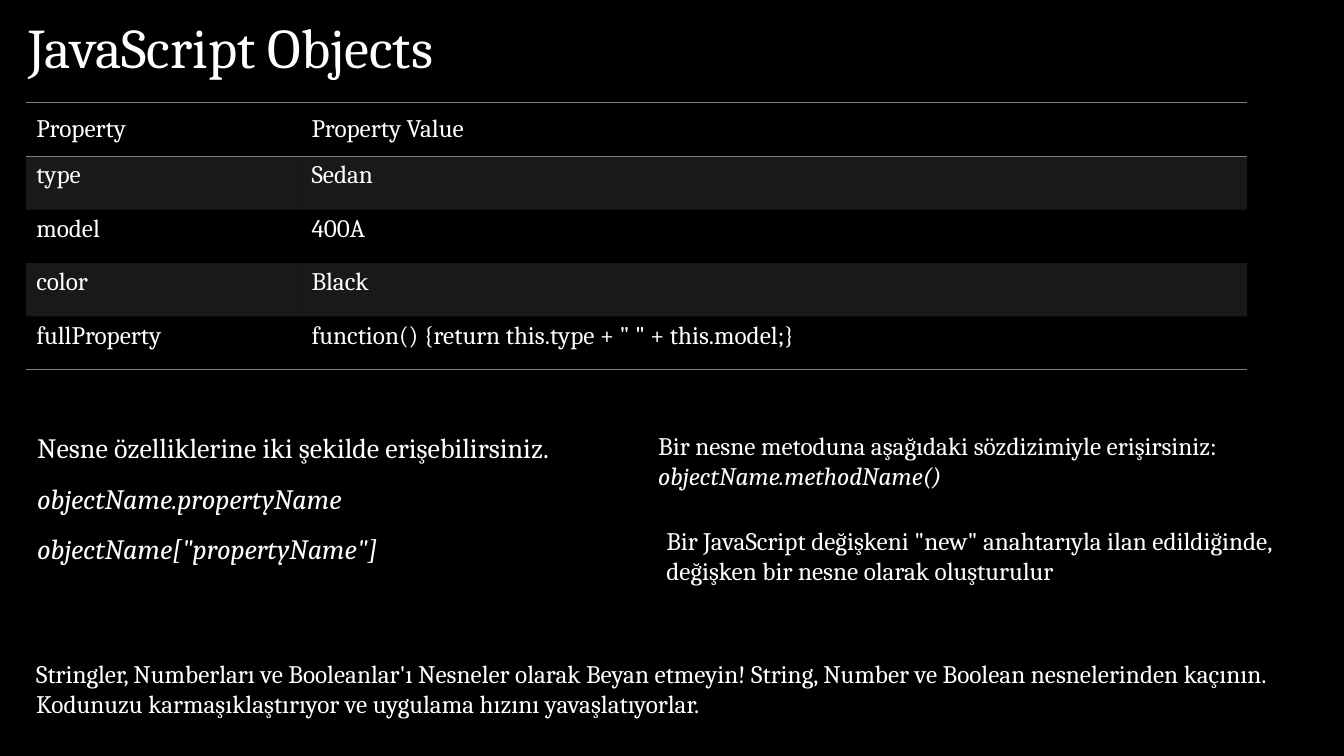
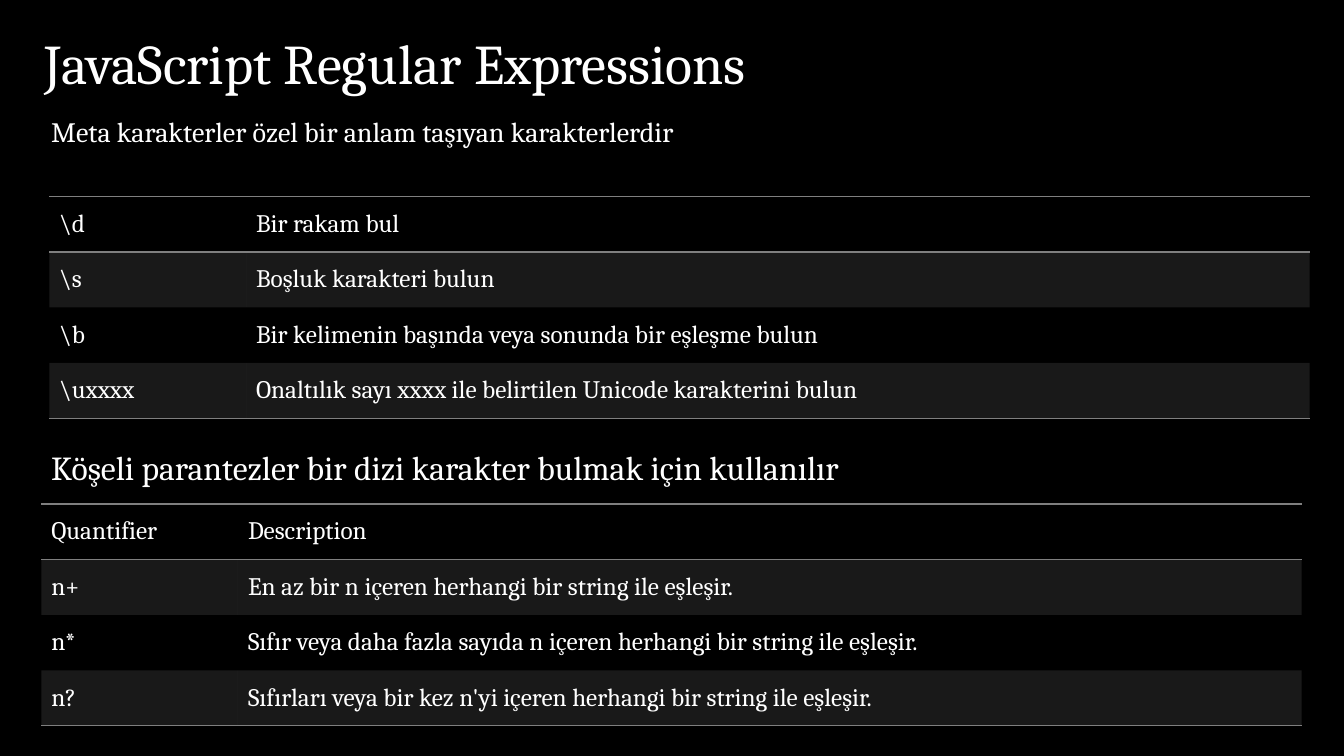
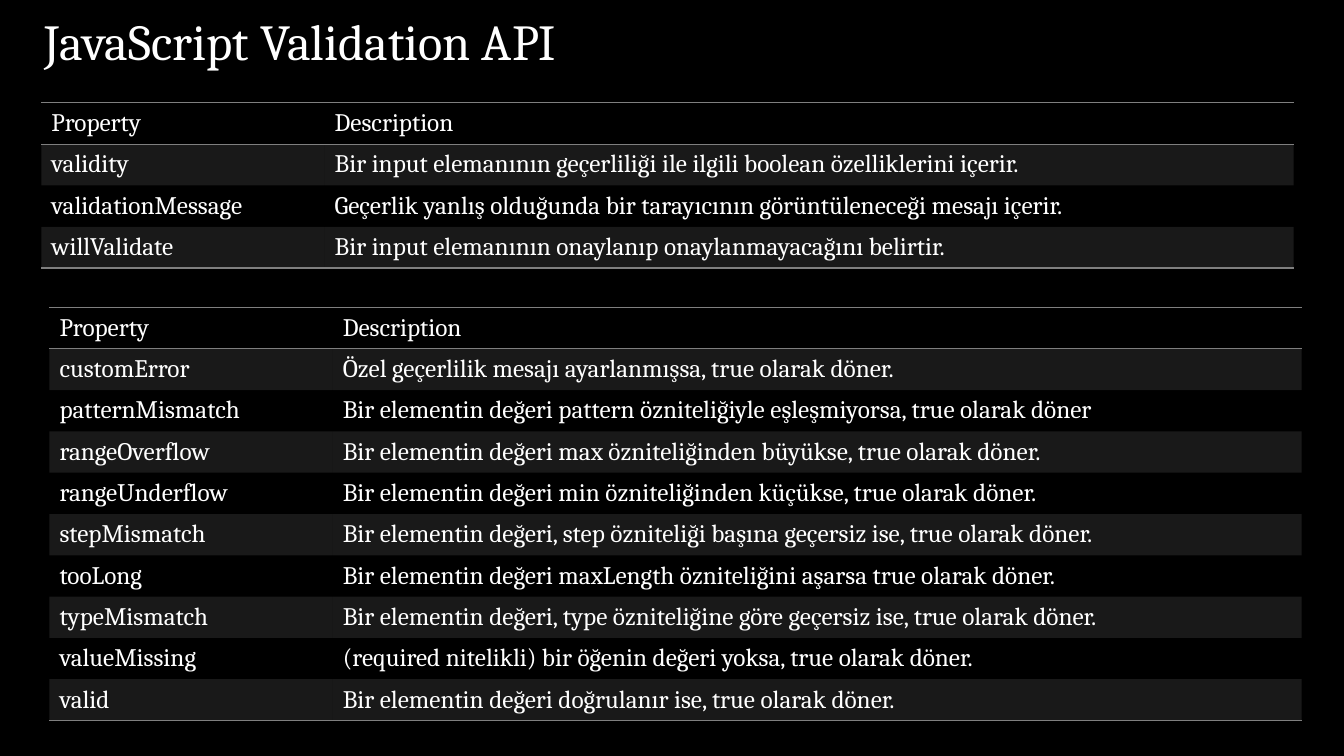
from dataclasses import dataclass

from lxml import etree
from pptx import Presentation
from pptx import util as u
from pptx.dml.color import RGBColor
from pptx.enum import text
from pptx.oxml.ns import qn

COLORS = {"back": "000000", "ink": "FFFFFF", "gray": "7F7F7F"}
FONT = "Cambria"
BAND_OPACITY = 20000
PLAIN_STYLE = "{2D5ABB26-0587-4C30-8999-92F81FD0307C}"


@dataclass
class Note:
    """A text box; each line is one paragraph."""
    left: float
    top: float
    width: float
    height: float
    lines: list[str]
    size: int = 18
    italic_from: int = 99
    spacing: float = 1.0
    anchor: text.MSO_ANCHOR = text.MSO_ANCHOR.TOP


@dataclass
class Grid:
    """A two-column table with equal rows, the first one a header."""
    left: float
    top: float
    columns: tuple[float, float]
    row_height: float
    rows: list[tuple[str, str]]
    body_anchor: text.MSO_ANCHOR = text.MSO_ANCHOR.MIDDLE


def rgb(name: str) -> RGBColor:
    return RGBColor.from_string(COLORS[name])


def add_run(p, words: str, size: int, italic: bool = False) -> None:
    r = p.add_run()
    r.text = words
    r.font.name = FONT
    r.font.size = u.Pt(size)
    r.font.italic = italic
    r.font.color.rgb = rgb("ink")


def title(left: float, top: float, width: float, height: float, words: str, size: int = 40) -> Note:
    return Note(left, top, width, height, [words], size, spacing=0.8, anchor=text.MSO_ANCHOR.BOTTOM)


def draw_note(s, note: Note) -> None:
    sp = s.shapes.add_textbox(*map(u.Inches, (note.left, note.top, note.width, note.height)))
    tf = sp.text_frame
    tf.word_wrap = True
    tf.vertical_anchor = note.anchor
    for i, line in enumerate(note.lines):
        p = tf.add_paragraph() if i else tf.paragraphs[0]
        p.line_spacing = note.spacing
        add_run(p, line, note.size, i >= note.italic_from)


def add_rule(cell, side: str) -> None:
    """Draw a gray border on the top (lnT) or bottom (lnB) of a cell."""
    ln = etree.SubElement(cell._tc.get_or_add_tcPr(), qn(f"a:{side}"), w=str(u.Pt(1)))
    fill = etree.SubElement(ln, qn("a:solidFill"))
    etree.SubElement(fill, qn("a:srgbClr"), val=COLORS["gray"])


def fill_band(cell) -> None:
    cell.fill.solid()
    cell.fill.fore_color.rgb = rgb("gray")
    color = cell._tc.tcPr.find(f".//{qn('a:solidFill')}[last()]/{qn('a:srgbClr')}")
    for color in cell._tc.tcPr.findall(f"{qn('a:solidFill')}/{qn('a:srgbClr')}"):
        etree.SubElement(color, qn("a:alpha"), val=str(BAND_OPACITY))


def draw_grid(s, grid: Grid) -> None:
    count = len(grid.rows)
    size = (grid.left, grid.top, sum(grid.columns), grid.row_height * count)
    table = s.shapes.add_table(count, 2, *map(u.Inches, size)).table
    table.horz_banding = table.first_row = False
    table._tbl.tblPr.find(qn("a:tableStyleId")).text = PLAIN_STYLE
    for column, width in zip(table.columns, grid.columns):
        column.width = u.Inches(width)
    for i, row in enumerate(grid.rows):
        table.rows[i].height = u.Inches(grid.row_height)
        for j, words in enumerate(row):
            cell = table.cell(i, j)
            cell.vertical_anchor = grid.body_anchor if i else text.MSO_ANCHOR.MIDDLE
            add_run(cell.text_frame.paragraphs[0], words, 18)
            if i == 0:
                add_rule(cell, "lnT")
            if i in (0, count - 1):
                add_rule(cell, "lnB")
            if i % 2:
                fill_band(cell)
            else:
                cell.fill.background()


REGEX_COLUMNS = (1.95, 10.55)
VALIDATION_COLUMNS = (2.81, 9.61)

SLIDES: list[list[Note | Grid]] = [
    [
        title(0.18, 0.16, 10.5, 0.68, "JavaScript Objects"),
        Grid(0.26, 1.02, (2.73, 9.38), 0.53, [
            ("Property", "Property Value"),
            ("type", "Sedan"),
            ("model", "400A"),
            ("color", "Black"),
            ("fullProperty", 'function() {return this.type + " " + this.model;}'),
        ], text.MSO_ANCHOR.TOP),
        Note(0.27, 4.06, 6.1, 1.55, [
            "Nesne özelliklerine iki şekilde erişebilirsiniz.",
            "objectName.propertyName",
            'objectName["propertyName"]',
        ], 20, italic_from=1, spacing=1.5),
        Note(6.43, 4.22, 6.58, 1.01, [
            "Bir nesne metoduna aşağıdaki sözdizimiyle erişirsiniz:",
            "objectName.methodName()",
        ], italic_from=1),
        Note(6.51, 5.16, 6.41, 0.71, [
            'Bir JavaScript değişkeni "new" anahtarıyla ilan edildiğinde, '
            "değişken bir nesne olarak oluşturulur",
        ]),
        Note(0.26, 6.48, 12.89, 0.71, [
            "Stringler, Numberları ve Booleanlar'ı Nesneler olarak Beyan etmeyin! "
            "String, Number ve Boolean nesnelerinden kaçının. "
            "Kodunuzu karmaşıklaştırıyor ve uygulama hızını yavaşlatıyorlar.",
        ]),
    ],
    [
        title(0.34, 0.23, 8.84, 0.76, "JavaScript Regular Expressions"),
        Grid(0.49, 1.95, REGEX_COLUMNS, 0.55, [
            ("\\d", "Bir rakam bul"),
            ("\\s", "Boşluk karakteri bulun"),
            ("\\b", "Bir kelimenin başında veya sonunda bir eşleşme bulun"),
            ("\\uxxxx", "Onaltılık sayı xxxx ile belirtilen Unicode karakterini bulun"),
        ]),
        Note(0.41, 1.09, 12.42, 0.44,
             ["Meta karakterler özel bir anlam taşıyan karakterlerdir"], 20),
        Note(0.41, 4.38, 9.22, 0.5,
             ["Köşeli parantezler bir dizi karakter bulmak için kullanılır"], 24),
        Grid(0.41, 5, REGEX_COLUMNS, 0.55, [
            ("Quantifier", "Description"),
            ("n+", "En az bir n içeren herhangi bir string ile eşleşir."),
            ("n*", "Sıfır veya daha fazla sayıda n içeren herhangi bir string ile eşleşir."),
            ("n?", "Sıfırları veya bir kez n'yi içeren herhangi bir string ile eşleşir."),
        ]),
    ],
    [
        title(0.34, 0.23, 10.5, 0.52, "JavaScript Validation API", 36),
        Grid(0.41, 1.02, VALIDATION_COLUMNS, 0.41, [
            ("Property", "Description"),
            ("validity", "Bir input elemanının geçerliliği ile ilgili boolean özelliklerini içerir."),
            ("validationMessage", "Geçerlik yanlış olduğunda bir tarayıcının görüntüleneceği mesajı içerir."),
            ("willValidate", "Bir input elemanının onaylanıp onaylanmayacağını belirtir."),
        ]),
        Grid(0.49, 3.05, VALIDATION_COLUMNS, 0.41, [
            ("Property", "Description"),
            ("customError", "Özel geçerlilik mesajı ayarlanmışsa, true olarak döner."),
            ("patternMismatch", "Bir elementin değeri pattern özniteliğiyle eşleşmiyorsa, true olarak döner"),
            ("rangeOverflow", "Bir elementin değeri max özniteliğinden büyükse, true olarak döner."),
            ("rangeUnderflow", "Bir elementin değeri min özniteliğinden küçükse, true olarak döner."),
            ("stepMismatch", "Bir elementin değeri, step özniteliği başına geçersiz ise, true olarak döner."),
            ("tooLong", "Bir elementin değeri maxLength özniteliğini aşarsa true olarak döner."),
            ("typeMismatch", "Bir elementin değeri, type özniteliğine göre geçersiz ise, true olarak döner."),
            ("valueMissing", "(required nitelikli) bir öğenin değeri yoksa, true olarak döner."),
            ("valid", "Bir elementin değeri doğrulanır ise, true olarak döner."),
        ]),
    ],
]


def main() -> None:
    prs = Presentation()
    prs.slide_width, prs.slide_height = u.Inches(13.33), u.Inches(7.5)
    back = prs.slide_master.background.fill
    back.solid()
    back.fore_color.rgb = rgb("back")
    for items in SLIDES:
        s = prs.slides.add_slide(prs.slide_layouts[6])
        for item in items:
            if isinstance(item, Grid):
                draw_grid(s, item)
            else:
                draw_note(s, item)
    prs.save("out.pptx")


if __name__ == "__main__":
    main()
